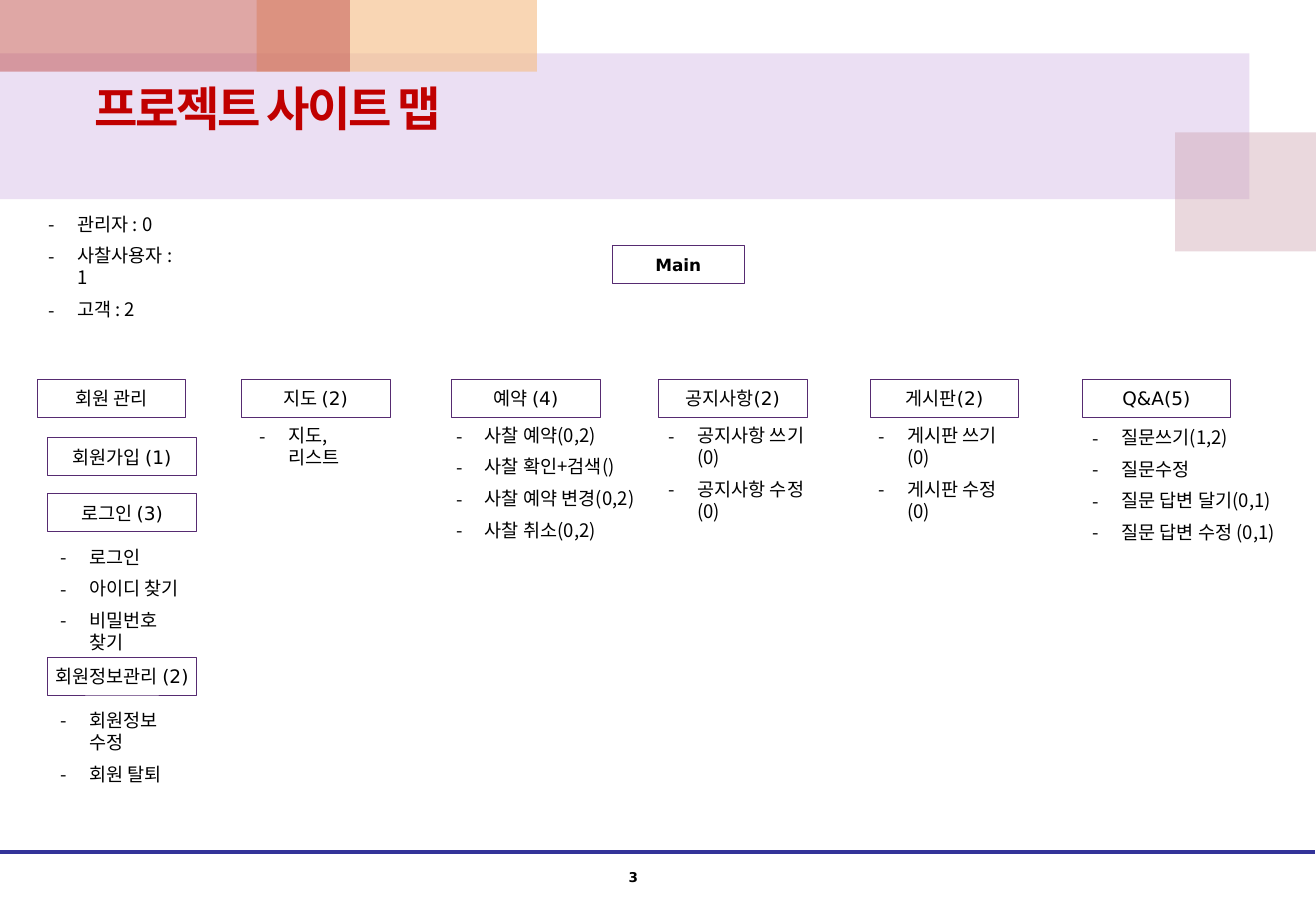
"""Build the project site map slide."""
from dataclasses import dataclass

from pptx import Presentation
from pptx.dml.color import RGBColor
from pptx.enum.shapes import MSO_CONNECTOR, MSO_SHAPE
from pptx.enum.text import MSO_ANCHOR, MSO_AUTO_SIZE, PP_ALIGN
from pptx.oxml.ns import qn
from pptx.util import Pt
from lxml.etree import SubElement


@dataclass(frozen=True)
class Theme:
    """Colours, fonts and type sizes."""
    text: str = "000000"
    title: str = "C00000"
    box_line: str = "562B71"
    footer_line: str = "333399"
    title_font: str = "Arial"
    label_font: str = "DejaVu Sans"
    korean_font: str = "Noto Sans CJK KR"
    title_size: float = 28
    label_size: float = 11
    main_size: float = 10
    number_size: float = 8


THEME = Theme()
SLIDE_WIDTH, SLIDE_HEIGHT = 780.48, 540
TITLE = "프로젝트 사이트 맵"
ROLES = ["관리자 : 0", "사찰사용자 : 1", "고객 : 2"]
DECORATIONS = [
    ("BF98D8", 30, (0, 31.7, 741, 86.4)),
    ("CC9EAC", 40, (697, 78.5, 83.48, 70.5)),
    ("F5BC83", 60, (152.2, 0, 166.3, 42.5)),
    ("C0504D", 50, (0, 0, 207.5, 42.5)),
]
MENUS = [
    ("회원 관리", 22, None, []),
    ("지도 (2)", 143, (147, 247.7, 84), ["지도, 리스트"]),
    ("예약 (4)", 267.8, (263.5, 247.7, 124),
     ["사찰 예약(0,2)", "사찰 확인+검색()", "사찰 예약 변경(0,2)", "사찰 취소(0,2)"]),
    ("공지사항(2)", 390.3, (389.5, 247.7, 106), ["공지사항 쓰기(0)", "공지사항 수정(0)"]),
    ("게시판(2)", 516, (514, 247.7, 95), ["게시판 쓰기(0)", "게시판 수정(0)"]),
    ("Q&A(5)", 641.7, (641, 249, 124),
     ["질문쓰기(1,2)", "질문수정", "질문 답변 달기(0,1)", "질문 답변 수정 (0,1)"]),
]
MEMBER_PAGES = [
    ("회원가입 (1)", 259.5, []),
    ("로그인 (3)", 292.8, ["로그인", "아이디 찾기", "비밀번호 찾기"]),
    ("회원정보관리 (2)", 389.5, ["회원정보 수정", "회원 탈퇴"]),
]
BOX_WIDTH, BOX_HEIGHT = 88.3, 22.5
MENU_TOP = 225
MEMBER_LEFT, MEMBER_LIST_LEFT, MEMBER_LIST_WIDTH = 28.2, 28.8, 91.5
MEMBER_LIST_OFFSET = 27
ITEM_HEIGHT = 20
BULLET_INDENT = 17


def place(shape, left, top, width, height):
    """Move and size a shape in points."""
    shape.left, shape.top = Pt(left), Pt(top)
    shape.width, shape.height = Pt(width), Pt(height)


def format_text(shape, font, size, color=THEME.text, bold=False):
    """Format every run of a shape."""
    for paragraph in shape.text_frame.paragraphs:
        for run in paragraph.runs:
            run.font.name = font
            run.font.size = Pt(size)
            run.font.bold = bold
            run.font.color.rgb = RGBColor.from_string(color)
    for properties in shape.element.iter(qn("a:rPr")):
        SubElement(properties, qn("a:ea"), typeface=THEME.korean_font)


def add_decoration(slide, color, opacity, area):
    """Add a translucent rectangle."""
    shape = slide.shapes.add_shape(MSO_SHAPE.RECTANGLE, *map(Pt, area))
    shape.shadow.inherit = False
    shape.fill.solid()
    shape.fill.fore_color.rgb = RGBColor.from_string(color)
    shape.line.fill.background()
    for node in shape.element.spPr.iter(qn("a:srgbClr")):
        SubElement(node, qn("a:alpha"), val=str(opacity * 1000))


def add_box(slide, label, left, top, width=BOX_WIDTH,
            size=THEME.label_size, bold=False):
    """Add an outlined page box."""
    area = (left, top, width, BOX_HEIGHT)
    shape = slide.shapes.add_shape(MSO_SHAPE.RECTANGLE, *map(Pt, area))
    shape.shadow.inherit = False
    shape.fill.background()
    shape.line.color.rgb = RGBColor.from_string(THEME.box_line)
    shape.line.width = Pt(0.5)
    frame = shape.text_frame
    frame.text = label
    frame.word_wrap = False
    frame.vertical_anchor = MSO_ANCHOR.MIDDLE
    frame.paragraphs[0].alignment = PP_ALIGN.CENTER
    format_text(shape, THEME.label_font, size, bold=bold)


def fill_list(shape, items):
    """Write a dashed list into a text shape."""
    frame = shape.text_frame
    frame.text = "\n".join(items)
    frame.word_wrap = True
    frame.auto_size = MSO_AUTO_SIZE.NONE
    frame.vertical_anchor = MSO_ANCHOR.TOP
    for paragraph in frame.paragraphs:
        paragraph.alignment = PP_ALIGN.LEFT
        paragraph.space_before = Pt(5.5)
    for properties in shape.element.iter(qn("a:pPr")):
        properties.set("marL", str(Pt(BULLET_INDENT)))
        properties.set("indent", str(-Pt(BULLET_INDENT)))
        SubElement(properties, qn("a:buFont"), typeface=THEME.korean_font)
        SubElement(properties, qn("a:buChar"), char="-")
    format_text(shape, THEME.korean_font, THEME.label_size)


def add_list(slide, items, left, top, width):
    """Add a dashed list in its own text box."""
    area = (left, top, width, ITEM_HEIGHT * len(items))
    fill_list(slide.shapes.add_textbox(*map(Pt, area)), items)


def fill_title(title):
    """Write and format the slide title."""
    place(title, 49, 43.2, 466, 41)
    frame = title.text_frame
    frame.text = TITLE
    frame.word_wrap = True
    frame.auto_size = MSO_AUTO_SIZE.NONE
    frame.vertical_anchor = MSO_ANCHOR.TOP
    frame.paragraphs[0].alignment = PP_ALIGN.LEFT
    format_text(title, THEME.title_font, THEME.title_size, THEME.title, True)
    for properties in title.element.iter(qn("a:rPr")):
        properties.set("spc", "-150")


def add_footer(slide):
    """Add the footer rule and page number."""
    rule = slide.shapes.add_connector(
        MSO_CONNECTOR.STRAIGHT, *map(Pt, (0, 504.8, 780, 504.8)))
    rule.line.color.rgb = RGBColor.from_string(THEME.footer_line)
    rule.line.width = Pt(2.5)
    SubElement(rule.element.spPr, qn("a:effectLst"))
    number = slide.shapes.add_textbox(*map(Pt, (342.7, 511.5, 66, 20)))
    number.text_frame.text = "3"
    number.text_frame.word_wrap = True
    number.text_frame.paragraphs[0].alignment = PP_ALIGN.CENTER
    format_text(number, THEME.label_font, THEME.number_size, bold=True)


def main():
    """Assemble and save the presentation."""
    presentation = Presentation()
    presentation.slide_width = Pt(SLIDE_WIDTH)
    presentation.slide_height = Pt(SLIDE_HEIGHT)
    slide = presentation.slides.add_slide(presentation.slide_layouts[1])
    title, roles = slide.shapes.title, slide.placeholders[1]
    for decoration in DECORATIONS:
        add_decoration(slide, *decoration)
    for placeholder in (title, roles):
        placeholder.element.getparent().append(placeholder.element)
    fill_title(title)
    place(roles, 21.6, 122.4, 94.3, ITEM_HEIGHT * len(ROLES))
    fill_list(roles, ROLES)
    add_footer(slide)
    add_box(slide, "Main", 363, 145.5, 78.5, THEME.main_size, True)
    for label, left, list_area, items in MENUS:
        add_box(slide, label, left, MENU_TOP)
        if items:
            add_list(slide, items, *list_area)
    for label, top, items in MEMBER_PAGES:
        add_box(slide, label, MEMBER_LEFT, top)
        if items:
            add_list(slide, items, MEMBER_LIST_LEFT,
                     top + MEMBER_LIST_OFFSET, MEMBER_LIST_WIDTH)
    presentation.save("out.pptx")


if __name__ == "__main__":
    main()
